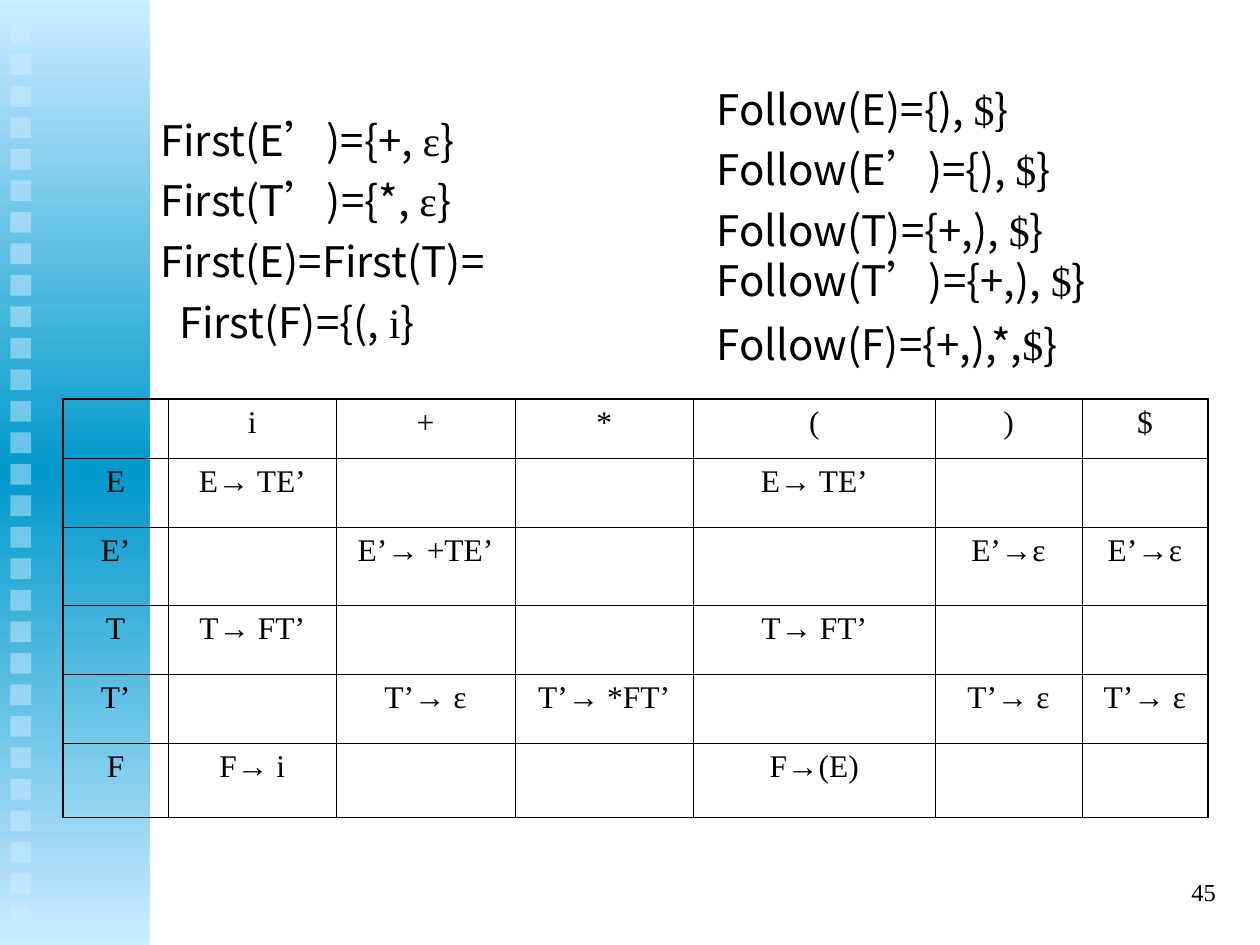
from copy import deepcopy

from lxml.etree import SubElement
from pptx import Presentation
from pptx.dml.color import RGBColor
from pptx.enum.shapes import MSO_SHAPE
from pptx.enum.text import MSO_ANCHOR, MSO_AUTO_SIZE, PP_ALIGN
from pptx.oxml.ns import qn
from pptx.util import Cm, Pt

BLACK = RGBColor(0x00, 0x00, 0x00)
PALE = RGBColor(0xCC, 0xEC, 0xFF)
BLUE = RGBColor(0x00, 0x99, 0xCC)
SANS = "Noto Sans CJK SC"
SERIF = "Times New Roman"

# Each line: line height in points, left indent in cm, then text by font
FIRST = [
    (34.6, 0, [("First(E’)={+, ", SANS), ("ε", SERIF), ("}", SANS)]),
    (34.6, 0, [("First(T’)={*, ", SANS), ("ε", SERIF), ("}", SANS)]),
    (34.6, 0, [("First(E)=First(T)=", SANS)]),
    (34.6, 0.38, [("First(F)={(, ", SANS), ("i", SERIF), ("}", SANS)]),
]
FOLLOW = [
    (high, 0, [(head, SANS), ("$", SERIF), ("}", SANS)])
    for high, head in [
        (34.6, "Follow(E)={), "),
        (34.6, "Follow(E’)={), "),
        (34.6, "Follow(T)={+,), "),
        (28.6, "Follow(T’)={+,), "),
        (37, "Follow(F)={+,),*,"),
    ]
]

# Parsing table
COLS = [2.12, 3.39, 3.6, 3.6, 4.87, 2.96, 2.54]
ROWS = [1.19, 1.39, 1.57, 1.39, 1.39, 1.5]
CELLS = [
    ["", "i", "+", "*", "(", ")", "$"],
    ["E", "E→ TE’", "", "", "E→ TE’", "", ""],
    ["E’", "", "E’→ +TE’", "", "", "E’→ε", "E’→ε"],
    ["T", "T→ FT’", "", "", "T→ FT’", "", ""],
    ["T’", "", "T’→ ε", "T’→ *FT’", "", "T’→ ε", "T’→ ε"],
    ["F", "F→ i", "", "", "F→(E)", "", ""],
]


def assign(item, values):
    for name, value in values.items():
        setattr(item, name, value)


def add_run(para, text, face, size):
    run = para.add_run()
    run.text = text
    assign(run.font, {"name": face, "size": Pt(size)})
    run.font.color.rgb = BLACK
    SubElement(run.font._element, qn("a:ea"), typeface=face)


def add_rect(slide, left, top, width, height):
    rect = slide.shapes.add_shape(
        MSO_SHAPE.RECTANGLE, Cm(left), Cm(top), Cm(width), Cm(height))
    rect.shadow.inherit = False
    rect.line.fill.background()
    return rect


def add_band(slide):
    # Side band fading from pale to blue and back
    band = add_rect(slide, 0, 0, 3.02, 19.05)
    band.fill.gradient()
    band.fill.gradient_angle = 270
    stops = band._element.spPr.find(".//" + qn("a:gsLst"))
    stops.append(deepcopy(stops[0]))
    tones = [(0, PALE), (0.5, BLUE), (1, PALE)]
    for stop, (place, tone) in zip(band.fill.gradient_stops, tones):
        stop.position = place
        stop.color.rgb = tone

    # Column of half-transparent squares
    count, first, last = 29, 0.46, 18.24
    step = (last - first) / (count - 1)
    for index in range(count):
        square = add_rect(slide, 0.21, first + index * step, 0.42, 0.42)
        square.fill.solid()
        square.fill.fore_color.rgb = PALE
        tone = square._element.spPr.find(".//" + qn("a:srgbClr"))
        SubElement(tone, qn("a:alpha"), val="50000")


def add_box(slide, left, top, width, height, values):
    box = slide.shapes.add_textbox(Cm(left), Cm(top), Cm(width), Cm(height))
    assign(box.text_frame, {"word_wrap": True, **values})
    return box.text_frame


def add_sets(slide, left, top, width, height, lines):
    frame = add_box(slide, left, top, width, height, {
        "margin_left": Cm(0.05), "margin_right": Cm(0.05),
        "margin_top": Cm(0.2), "margin_bottom": Cm(0.05),
        "auto_size": MSO_AUTO_SIZE.SHAPE_TO_FIT_TEXT,
    })
    for index, (high, indent, parts) in enumerate(lines):
        para = frame.add_paragraph() if index else frame.paragraphs[0]
        para.line_spacing = Pt(high)
        if indent:
            para._p.get_or_add_pPr().set("marL", str(Cm(indent)))
        for text, face in parts:
            add_run(para, text, face, 24)


def set_edges(cell, outer):
    props = cell._tc.get_or_add_tcPr()
    for side in "LRTB":
        width = Pt(1.08 if side in outer else 0.45)
        line = SubElement(props, qn("a:ln" + side), w=str(width))
        fill = SubElement(line, qn("a:solidFill"))
        SubElement(fill, qn("a:srgbClr"), val=str(BLACK))
    cell.fill.background()


def add_grid(slide):
    table = slide.shapes.add_table(
        len(ROWS), len(COLS), Cm(1.27), Cm(8.05),
        Cm(sum(COLS)), Cm(sum(ROWS))).table
    assign(table, {"first_row": False, "horz_banding": False})
    for col, width in zip(table.columns, COLS):
        col.width = Cm(width)
    for row, height in zip(table.rows, ROWS):
        row.height = Cm(height)
    for r, texts in enumerate(CELLS):
        for c, text in enumerate(texts):
            cell = table.cell(r, c)
            ends = {"L": c == 0, "R": c == len(COLS) - 1,
                    "T": r == 0, "B": r == len(ROWS) - 1}
            set_edges(cell, [side for side, edge in ends.items() if edge])
            para = cell.text_frame.paragraphs[0]
            para.alignment = PP_ALIGN.CENTER
            if text:
                add_run(para, text, SERIF, 18)


def add_number(slide):
    frame = add_box(slide, 19.48, 17.35, 5.28, 1.27,
                    {"vertical_anchor": MSO_ANCHOR.MIDDLE})
    para = frame.paragraphs[0]
    para.alignment = PP_ALIGN.RIGHT
    add_run(para, "45", SERIF, 14)


def main():
    deck = Presentation()
    assign(deck, {"slide_width": Cm(25.4), "slide_height": Cm(19.05)})
    # Blank layout, as the slide has no title
    slide = deck.slides.add_slide(deck.slide_layouts[6])
    add_band(slide)
    add_grid(slide)
    add_sets(slide, 3.18, 1.9, 9.1, 5.13, FIRST)
    add_sets(slide, 14.4, 1.27, 10.16, 6.27, FOLLOW)
    add_number(slide)
    deck.save("out.pptx")


if __name__ == "__main__":
    main()
